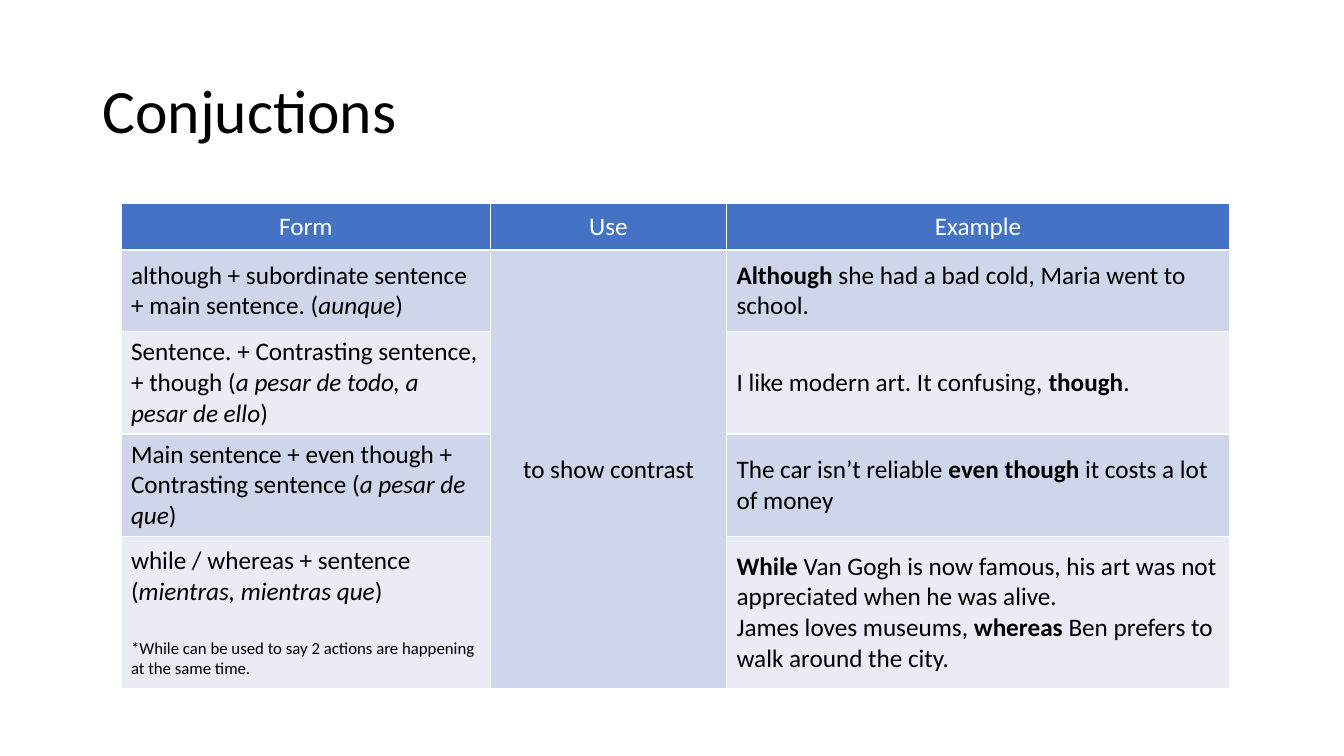
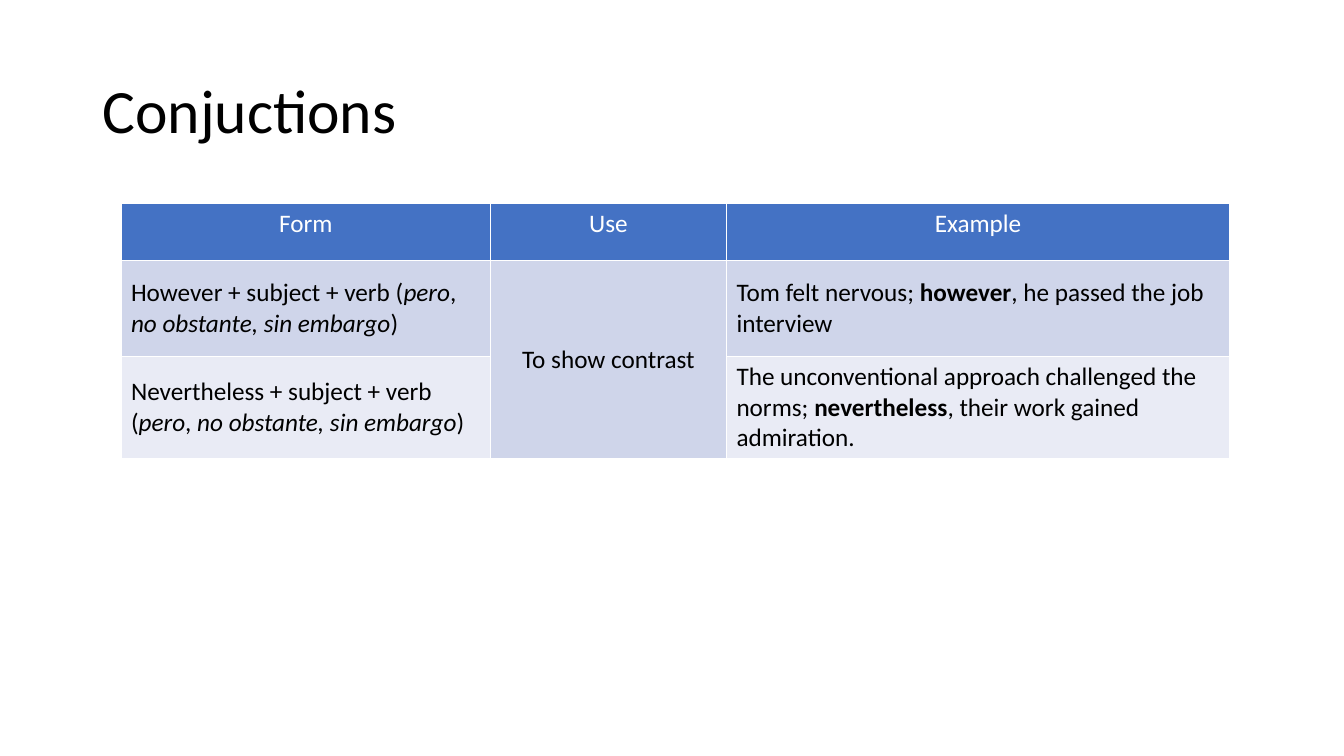
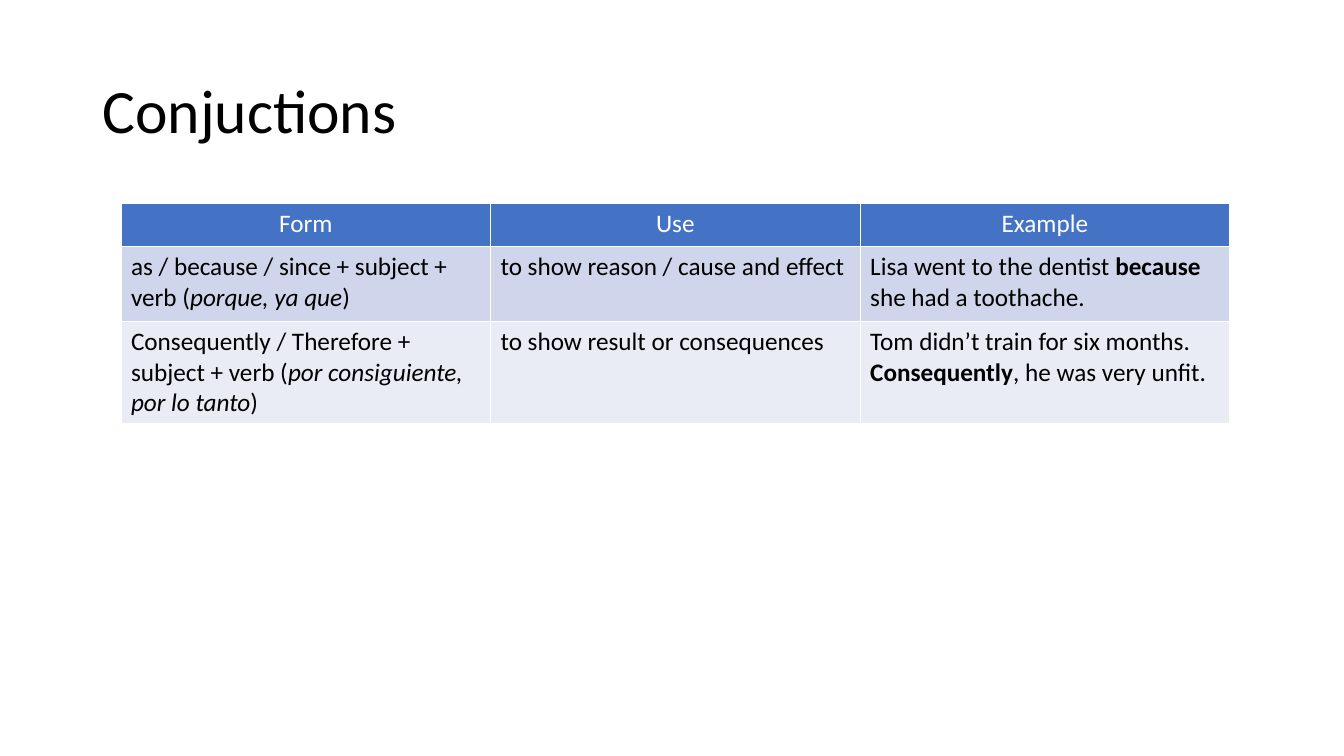
from pptx import Presentation
from pptx.dml.color import RGBColor
from pptx.enum.text import MSO_ANCHOR, MSO_AUTO_SIZE, PP_ALIGN
from pptx.oxml.ns import qn
from pptx.util import Pt
from lxml.etree import SubElement

TOP, MID = MSO_ANCHOR.TOP, MSO_ANCHOR.MIDDLE
LEFT, CENTER = PP_ALIGN.LEFT, PP_ALIGN.CENTER
NO_FIT = MSO_AUTO_SIZE.NONE
TITLE_ONLY = 5

FONT = "Calibri"
COLORS = {"head": "4472C4", "odd": "CFD5EA", "even": "E9EBF5",
          "line": "FFFFFF", "light": "FFFFFF", "dark": "000000"}
TITLE = "Conjuctions"
TITLE_BOX = (66, 28.8, 828, 104.4)
GRID_BOX = (86.4, 145.6, 792)
HEADS = ("Form", "Use", "Example")
FORM, USE, SAMPLE = range(3)
LINE = 22  # height of one text line at 18 points

# Underscores enclose stressed words: italic in Form, bold in Example.
# A row whose use is None shares the use of the row above.
SLIDES = [
    {"cols": (264, 168.5, 359.5), "heights": (33, 58.3, 73.2, 73.2, 108.7),
     "head": MID, "body": MID, "align": CENTER, "rows": [
         ("although + subordinate sentence + main sentence. (_aunque_)",
          "to show contrast",
          "_Although_ she had a bad cold, Maria went to school."),
         ("Sentence. + Contrasting sentence, + though "
          "(_a pesar de todo, a pesar de ello_)",
          None,
          "I like modern art. It confusing, _though_."),
         ("Main sentence + even though + Contrasting sentence "
          "(_a pesar de que_)",
          None,
          "The car isn’t reliable _even though_ it costs a lot of money"),
         ("while / whereas + sentence\n(_mientras, mientras que_)\n"
          "*While can be used to say 2 actions are happening "
          "at the same time.",
          None,
          "_While_ Van Gogh is now famous, his art was not appreciated "
          "when he was alive.\n"
          "James loves museums, _whereas_ Ben prefers to walk around "
          "the city."),
     ]},
    {"cols": (264, 168.5, 359.5), "heights": (40.3, 68.6, 73.2),
     "head": TOP, "body": MID, "align": CENTER, "rows": [
         ("However + subject + verb (_pero_, _no obstante, sin embargo_)",
          "To show contrast",
          "Tom felt nervous; _however_, he passed the job interview"),
         ("Nevertheless + subject + verb "
          "(_pero_, _no obstante, sin embargo_)",
          None,
          "The unconventional approach challenged the norms; "
          "_nevertheless_, their work gained admiration."),
     ]},
    {"cols": (264, 264, 264), "heights": (30.7, 53.3, 73.2),
     "head": TOP, "body": TOP, "align": LEFT, "rows": [
         ("as / because / since + subject + verb (_porque, ya que_)",
          "to show reason / cause and effect",
          "Lisa went to the dentist _because_ she had a toothache."),
         ("Consequently / Therefore + subject + verb "
          "(_por consiguiente, por lo tanto_)",
          "to show result or consequences",
          "Tom didn’t train for six months. _Consequently_, "
          "he was very unfit."),
     ]},
]


def color(name):
    return RGBColor.from_string(COLORS[name])


def add_run(para, text, size, ink="dark", bold=False, italic=False):
    run = para.add_run()
    run.text = text
    font = run.font
    font.name, font.size = FONT, Pt(size)
    font.bold, font.italic = bold, italic
    font.color.rgb = color(ink)


def add_title(slide):
    title = slide.shapes.title
    title.left, title.top, title.width, title.height = map(Pt, TITLE_BOX)
    frame = title.text_frame
    frame.auto_size, frame.word_wrap = NO_FIT, True
    frame.vertical_anchor = MID
    para = frame.paragraphs[0]
    para.alignment, para.line_spacing = LEFT, 0.9
    add_run(para, TITLE, 44)


def style_cell(cell, fill, anchor):
    """Draw the four borders, then the fill, as the schema orders them."""
    props = cell._tc.get_or_add_tcPr()
    for side in ("lnL", "lnR", "lnT", "lnB"):
        line = SubElement(props, qn("a:" + side), w=str(Pt(1)))
        solid = SubElement(line, qn("a:solidFill"))
        SubElement(solid, qn("a:srgbClr"), val=COLORS["line"])
    cell.fill.solid()
    cell.fill.fore_color.rgb = color(fill)
    cell.vertical_anchor = anchor


def fill_text(cell, text, col, align, ink="dark"):
    frame = cell.text_frame
    for num, line in enumerate(text.split("\n")):
        para = frame.add_paragraph() if num else frame.paragraphs[0]
        para.alignment = align
        note = line.startswith("*")
        if note:
            para.space_before = Pt(LINE)
        for part, words in enumerate(line.split("_")):
            if words:
                stress = part % 2 == 1
                add_run(para, words, 12 if note else 18, ink,
                        bold=stress and col == SAMPLE,
                        italic=stress and col == FORM)


def add_grid(slide, box, data):
    left, top, width = box
    heights, rows = data["heights"], data["rows"]
    frame = slide.shapes.add_table(len(heights), len(HEADS), Pt(left), Pt(top),
                                   Pt(width), Pt(sum(heights)))
    table = frame.table
    table.horz_banding = False
    for column, size in zip(table.columns, data["cols"]):
        column.width = Pt(size)
    for row, size in zip(table.rows, heights):
        row.height = Pt(size)

    for col, text in enumerate(HEADS):
        cell = table.cell(0, col)
        style_cell(cell, "head", data["head"])
        fill_text(cell, text, col, CENTER, "light")
    for num, row in enumerate(rows, 1):
        for col, text in enumerate(row):
            cell = table.cell(num, col)
            style_cell(cell, "odd" if num % 2 else "even", data["body"])
            if text:
                align = data["align"] if col == USE else LEFT
                fill_text(cell, text, col, align)
    if rows[-1][USE] is None:
        table.cell(1, USE).merge(table.cell(len(rows), USE))


def main():
    deck = Presentation()
    deck.slide_width, deck.slide_height = Pt(960), Pt(540)
    for data in SLIDES:
        slide = deck.slides.add_slide(deck.slide_layouts[TITLE_ONLY])
        add_title(slide)
        add_grid(slide, GRID_BOX, data)
    deck.save("out.pptx")


if __name__ == "__main__":
    main()
